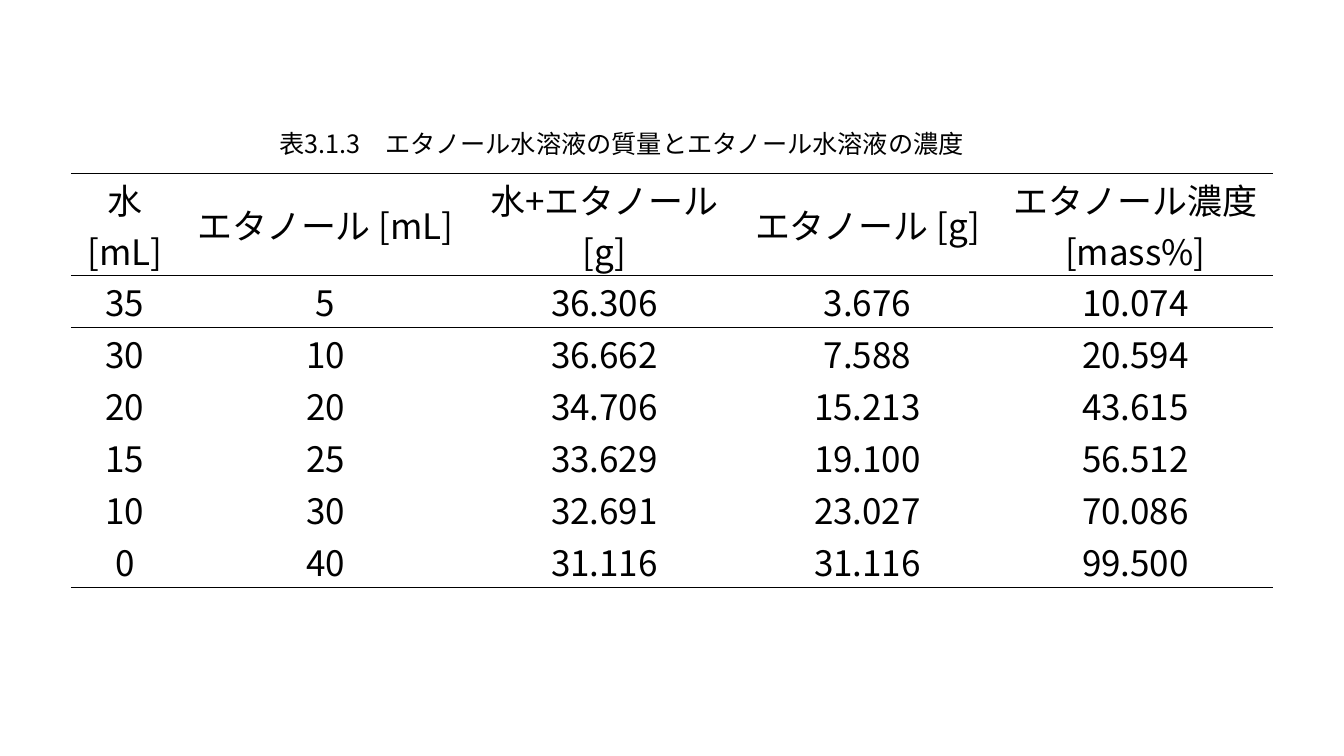
from dataclasses import dataclass

from lxml.etree import SubElement
from pptx import Presentation
from pptx.dml.color import RGBColor
from pptx.enum.text import MSO_ANCHOR as Anchor, MSO_AUTO_SIZE as AutoSize, PP_ALIGN as Align
from pptx.oxml.ns import qn
from pptx.util import Pt


@dataclass(frozen=True)
class Theme:
    font: str = "Noto Sans CJK JP"
    ink: str = "000000"
    caption_size: int = 18
    table_size: int = 25
    rule_width: float = 0.5
    plain_table_style: str = "{2D5ABB26-0587-4C30-8999-92F81FD0307C}"


THEME = Theme()
EMU_PER_PX = 914400 / 100.8

CAPTION = "表3.1.3　エタノール水溶液の質量とエタノール水溶液の濃度"
HEADINGS = ["水 [mL]", "エタノール [mL]", "水+エタノール [g]", "エタノール [g]", "エタノール濃度 [mass%]"]
MEASUREMENTS = [
    ["35", "5", "36.306", "3.676", "10.074"],
    ["30", "10", "36.662", "7.588", "20.594"],
    ["20", "20", "34.706", "15.213", "43.615"],
    ["15", "25", "33.629", "19.100", "56.512"],
    ["10", "30", "32.691", "23.027", "70.086"],
    ["0", "40", "31.116", "31.116", "99.500"],
]
COLUMN_WIDTHS = [108, 293, 265, 261, 275]
HEADING_HEIGHT = 95
MEASUREMENT_HEIGHT = 52


def px(length):
    return round(length * EMU_PER_PX)


def write_centred(frame, text, size):
    paragraph = frame.paragraphs[0]
    paragraph.text = text
    paragraph.alignment = Align.CENTER
    font = paragraph.font
    font.name = THEME.font
    font.size = Pt(size)
    font.color.rgb = RGBColor.from_string(THEME.ink)
    defaults = paragraph._p.pPr.find(qn("a:defRPr"))
    SubElement(defaults, qn("a:ea"), typeface=THEME.font)


def rule_cell(cell, edge):
    rule = SubElement(cell._tc.get_or_add_tcPr(), qn(f"a:ln{edge}"), w=str(Pt(THEME.rule_width)))
    SubElement(SubElement(rule, qn("a:solidFill")), qn("a:srgbClr"), val=THEME.ink)


def add_caption(slide, left, top, width, height):
    caption = slide.shapes.add_textbox(px(left), px(top), px(width), px(height))
    frame = caption.text_frame
    frame.word_wrap = True
    frame.auto_size = AutoSize.SHAPE_TO_FIT_TEXT
    write_centred(frame, CAPTION, THEME.caption_size)


def add_concentrations(slide, left, top, width, height):
    rows = [HEADINGS, *MEASUREMENTS]
    frame = slide.shapes.add_table(len(rows), len(HEADINGS), px(left), px(top), px(width), px(height))
    table = frame.table
    table.first_row = table.horz_banding = False
    table._tbl.tblPr.find(qn("a:tableStyleId")).text = THEME.plain_table_style
    for column, column_width in zip(table.columns, COLUMN_WIDTHS):
        column.width = px(column_width)
    edges = {0: "TB", 1: "T", len(rows) - 1: "B"}
    for index, values in enumerate(rows):
        table.rows[index].height = px(MEASUREMENT_HEIGHT if index else HEADING_HEIGHT)
        for cell, value in zip(table.rows[index].cells, values):
            cell.margin_left = cell.margin_right = cell.margin_top = px(1)
            cell.margin_bottom = 0
            cell.vertical_anchor = Anchor.MIDDLE
            for edge in edges.get(index, ""):
                rule_cell(cell, edge)
            cell.fill.background()
            write_centred(cell.text_frame, value, THEME.table_size)


def main():
    deck = Presentation()
    deck.slide_width, deck.slide_height = px(1344), px(756)
    slide = deck.slides.add_slide(deck.slide_layouts[6])
    table_height = HEADING_HEIGHT + len(MEASUREMENTS) * MEASUREMENT_HEIGHT
    add_concentrations(slide, 71, 173, sum(COLUMN_WIDTHS), table_height)
    add_caption(slide, 173, 123, 897, 40)
    deck.save("out.pptx")


if __name__ == "__main__":
    main()
